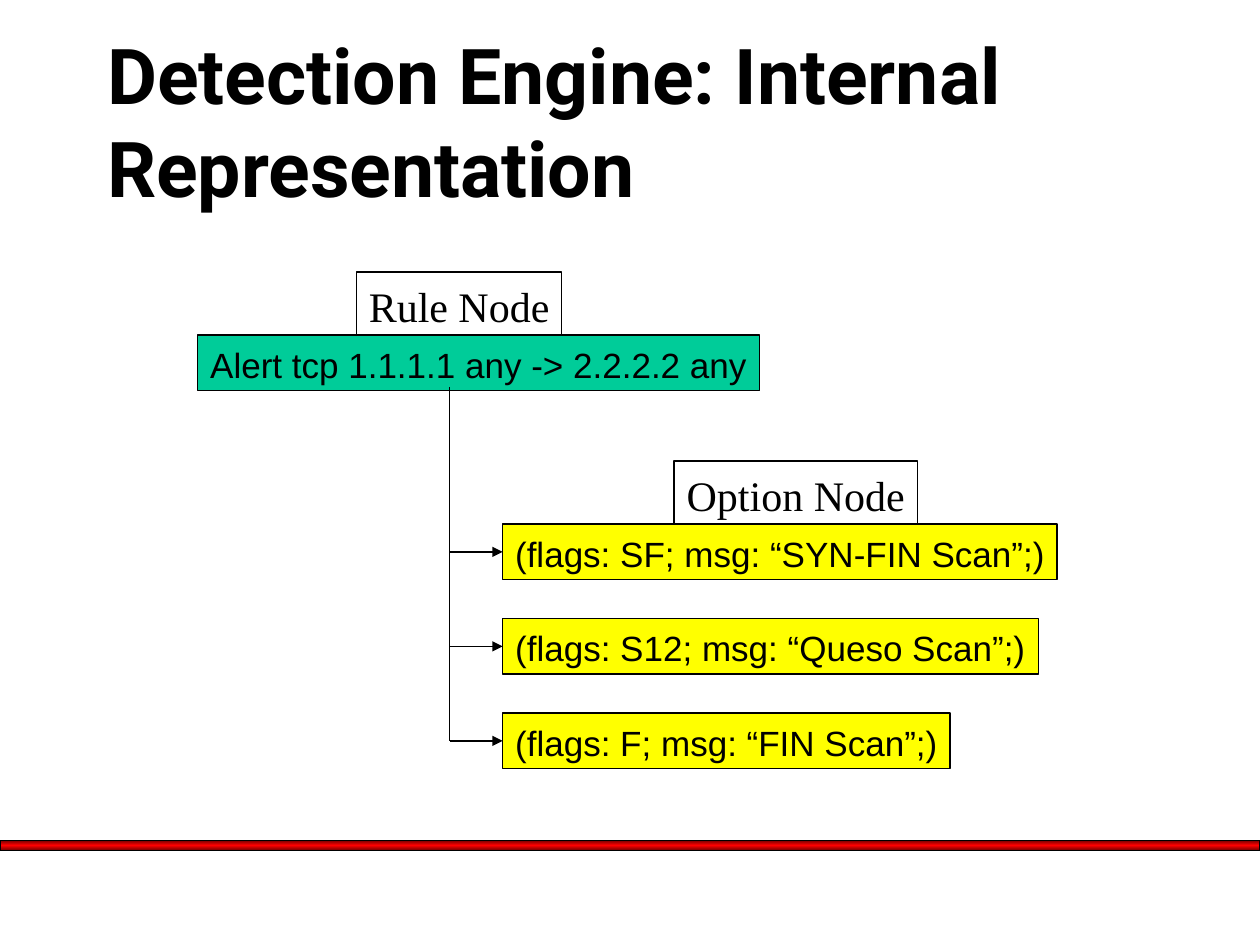
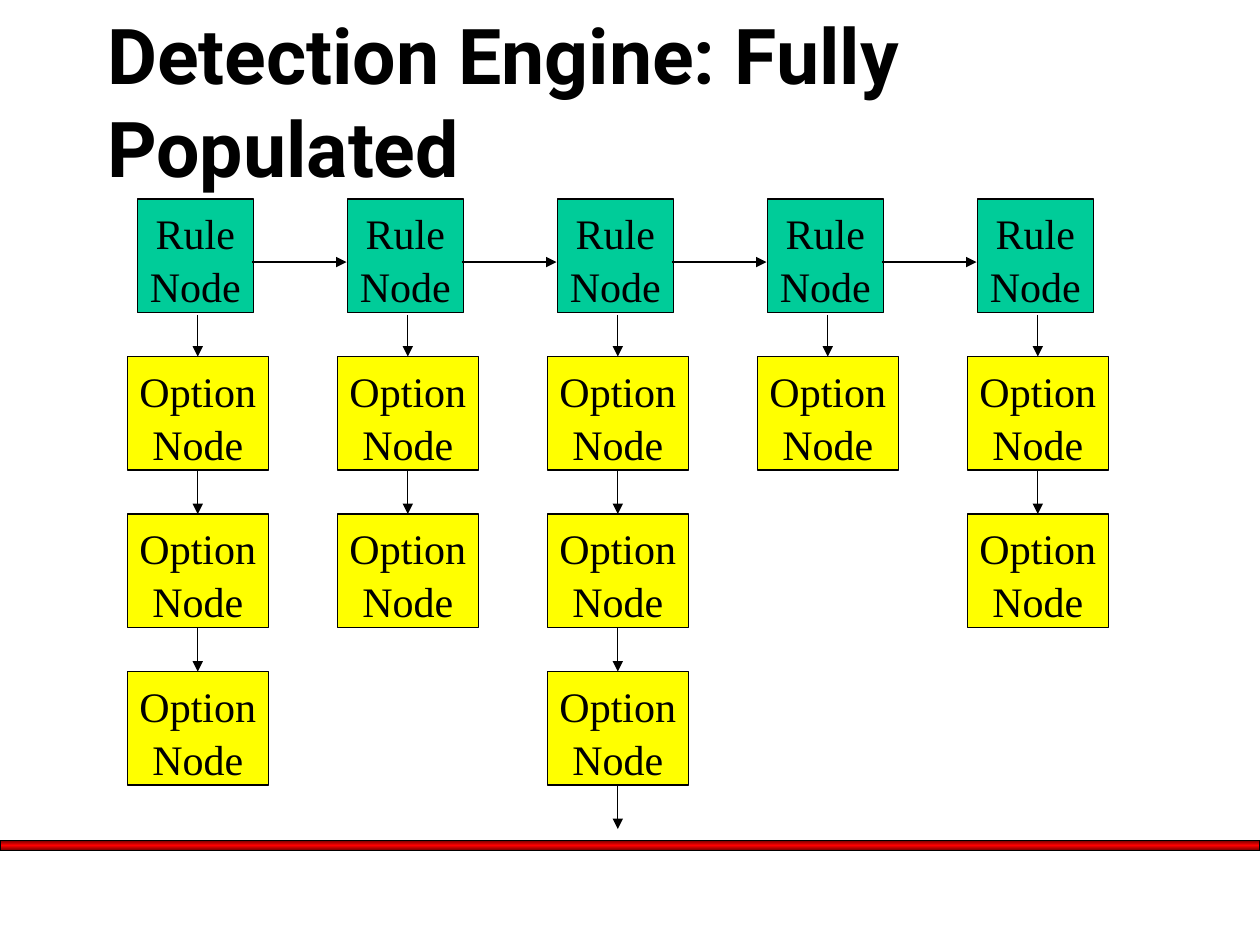
"""Build two slides on how a detection engine stores its rules."""
from copy import deepcopy

from lxml import etree
from pptx import Presentation
from pptx.dml import color
from pptx.enum import shapes, text
from pptx.oxml import ns
from pptx.util import Inches, Pt

COLORS = {"black": "000000", "rule": "00CC99", "option": "FFFF00",
          "band_edge": "750000", "band_middle": "FF0000"}
TITLE_FONT, LABEL_FONT, CODE_FONT = "Roboto", "Times New Roman", "Arial"
LINE_WIDTH = Pt(0.75)
TOP, LEFT, BOTTOM = 0, 1, 2


def rgb(name):
    return color.RGBColor.from_string(COLORS[name])


def format_text(paragraph, font_name, size, bold=False):
    for run in paragraph.runs:
        run.font.name, run.font.size, run.font.bold = font_name, Pt(size), bold
        run.font.color.rgb = rgb("black")


def add_rectangle(slide, left, top, width, height):
    shape = slide.shapes.add_shape(shapes.MSO_SHAPE.RECTANGLE, Inches(left),
                                   Inches(top), Inches(width), Inches(height))
    shape.shadow.inherit = False
    shape.line.color.rgb = rgb("black")
    shape.line.width = LINE_WIDTH
    return shape


def add_box(slide, left, top, width, height, words, fill=None,
            font_name=LABEL_FONT, size=24, align=text.PP_ALIGN.CENTER):
    shape = add_rectangle(slide, left, top, width, height)
    if fill:
        shape.fill.solid()
        shape.fill.fore_color.rgb = rgb(fill)
    else:
        shape.fill.background()
    frame = shape.text_frame
    frame.word_wrap = False
    frame.vertical_anchor = text.MSO_ANCHOR.TOP
    frame.text = words
    for paragraph in frame.paragraphs:
        paragraph.alignment = align
        paragraph.line_spacing = 1.05
        format_text(paragraph, font_name, size)
    return shape


def add_code_box(slide, left, top, width, words, fill):
    return add_box(slide, left, top, width, 0.44, words, fill,
                   CODE_FONT, 20, text.PP_ALIGN.LEFT)


def add_line(slide, start, end, arrow=True):
    line = slide.shapes.add_connector(shapes.MSO_CONNECTOR.STRAIGHT,
                                      *map(Inches, start + end))
    line.line.color.rgb = rgb("black")
    line.line.width = LINE_WIDTH
    if arrow:
        etree.SubElement(line.line._get_or_add_ln(), ns.qn("a:tailEnd"), type="triangle")
    etree.SubElement(line._element.spPr, ns.qn("a:effectLst"))
    return line


def add_band(slide):
    """Draw the red band and move it to the layout that the slides share."""
    band = add_rectangle(slide, 0, 6.67, 10, 0.08)
    band.fill.gradient()
    band.fill.gradient_angle = 90
    stops = band.fill.gradient_stops
    first = stops[0]._gs
    first.addnext(deepcopy(first))
    names = ("band_edge", "band_middle", "band_edge")
    for stop, position, name in zip(band.fill.gradient_stops, (0, 0.5, 1), names):
        stop.position = position
        stop.color.rgb = rgb(name)
    slide.slide_layout.shapes._spTree.append(band._element)


def add_slide(presentation, words, top):
    slide = presentation.slides.add_slide(presentation.slide_layouts[5])
    title = slide.shapes.title
    title.left, title.top = Inches(0.75), Inches(top)
    title.width, title.height = Inches(8.5), Inches(1.25)
    frame = title.text_frame
    frame.text = words
    frame.auto_size = text.MSO_AUTO_SIZE.NONE
    frame.word_wrap = True
    frame.vertical_anchor = text.MSO_ANCHOR.MIDDLE
    frame.paragraphs[0].alignment = text.PP_ALIGN.LEFT
    format_text(frame.paragraphs[0], TITLE_FONT, 44, bold=True)
    return slide


def draw_representation(slide):
    """Draw one rule node that branches to its option nodes."""
    add_code_box(slide, 1.57, 2.66, 4.46, "Alert tcp 1.1.1.1 any -> 2.2.2.2 any", "rule")
    add_box(slide, 2.83, 2.16, 1.63, 0.5, "Rule Node")
    add_box(slide, 5.35, 3.66, 1.93, 0.5, "Option Node")
    options = (("(flags: SF; msg: “SYN-FIN Scan”;)", 4.4),
               ("(flags: S12; msg: “Queso Scan”;)", 4.25),
               ("(flags: F; msg: “FIN Scan”;)", 3.55))
    trunk, option_left = 3.57, 3.99
    for row, (words, width) in enumerate(options):
        top = 4.16 + 0.75 * row
        middle = top + 0.22
        option = add_code_box(slide, option_left, top, width, words, "option")
        branch = add_line(slide, (trunk, middle), (option_left, middle))
        branch.end_connect(option, LEFT)
    add_line(slide, (trunk, 3.07), (trunk, middle), arrow=False)


def draw_populated(slide):
    """Draw a chain of rule nodes, each with its own chain of option nodes."""
    option_counts = (3, 2, 3, 1, 2)
    open_column = 2
    column_pitch, row_pitch, first_top = 5 / 3, 1.25, 1.58
    node_height, option_width = 0.9, 1.12
    for column, count in enumerate(option_counts):
        offset = column * column_pitch
        center = 1.01 + option_width / 2 + offset
        add_box(slide, 1.09 + offset, first_top, 0.92, node_height, "Rule\nNode", "rule")
        if column < len(option_counts) - 1:
            add_line(slide, (2 + offset, 2.08), (2.75 + offset, 2.08))
        previous = None
        for row in range(1, count + 1):
            top = first_top + row * row_pitch
            option = add_box(slide, 1.01 + offset, top, option_width, node_height,
                             "Option\nNode", "option")
            arrow = add_line(slide, (center, top - 0.33), (center, top))
            if previous:
                arrow.begin_connect(previous, BOTTOM)
            arrow.end_connect(option, TOP)
            previous = option
        if column == open_column:
            arrow = add_line(slide, (center, 6.25), (center, 6.58))
            arrow.begin_connect(previous, BOTTOM)


def main():
    presentation = Presentation()
    presentation.slide_width, presentation.slide_height = Inches(10), Inches(7.5)
    representation = add_slide(presentation, "Detection Engine: Internal Representation", 0.33)
    add_band(representation)
    draw_representation(representation)
    draw_populated(add_slide(presentation, "Detection Engine: Fully Populated", 0.17))
    presentation.save("out.pptx")


if __name__ == "__main__":
    main()
